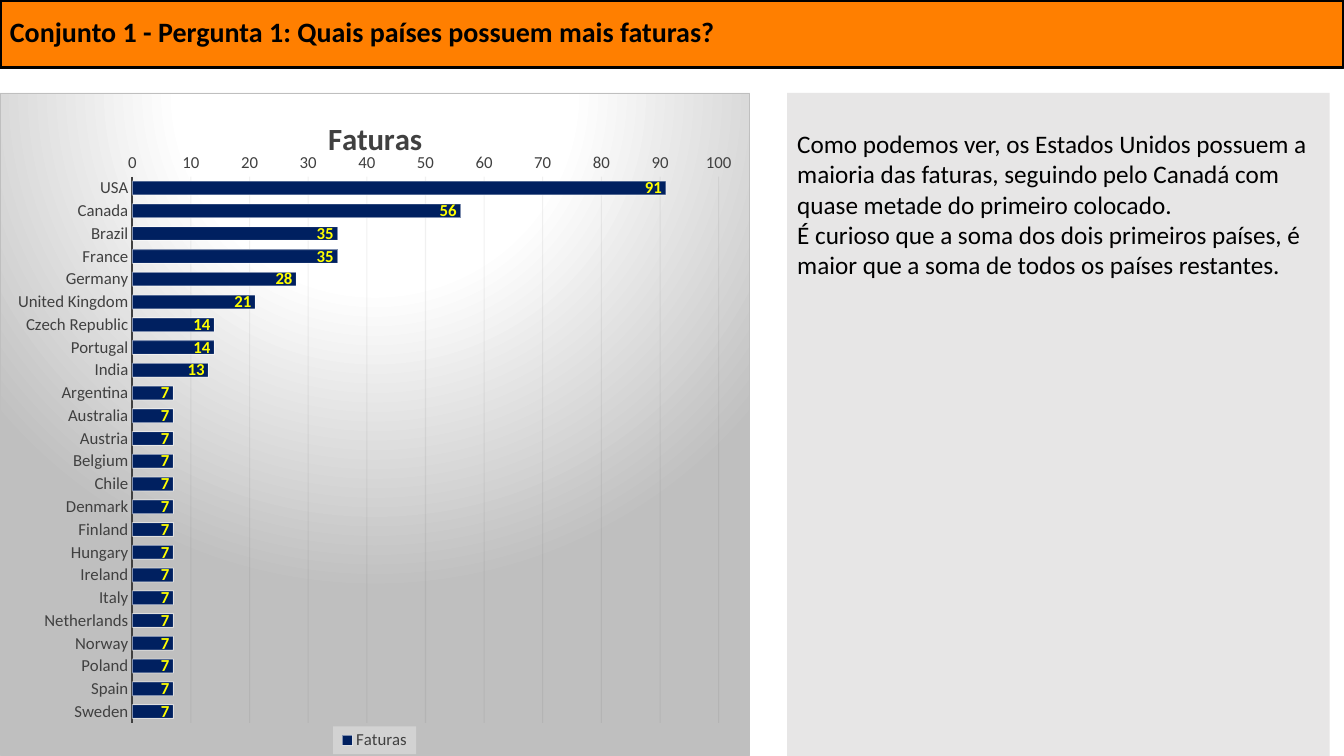
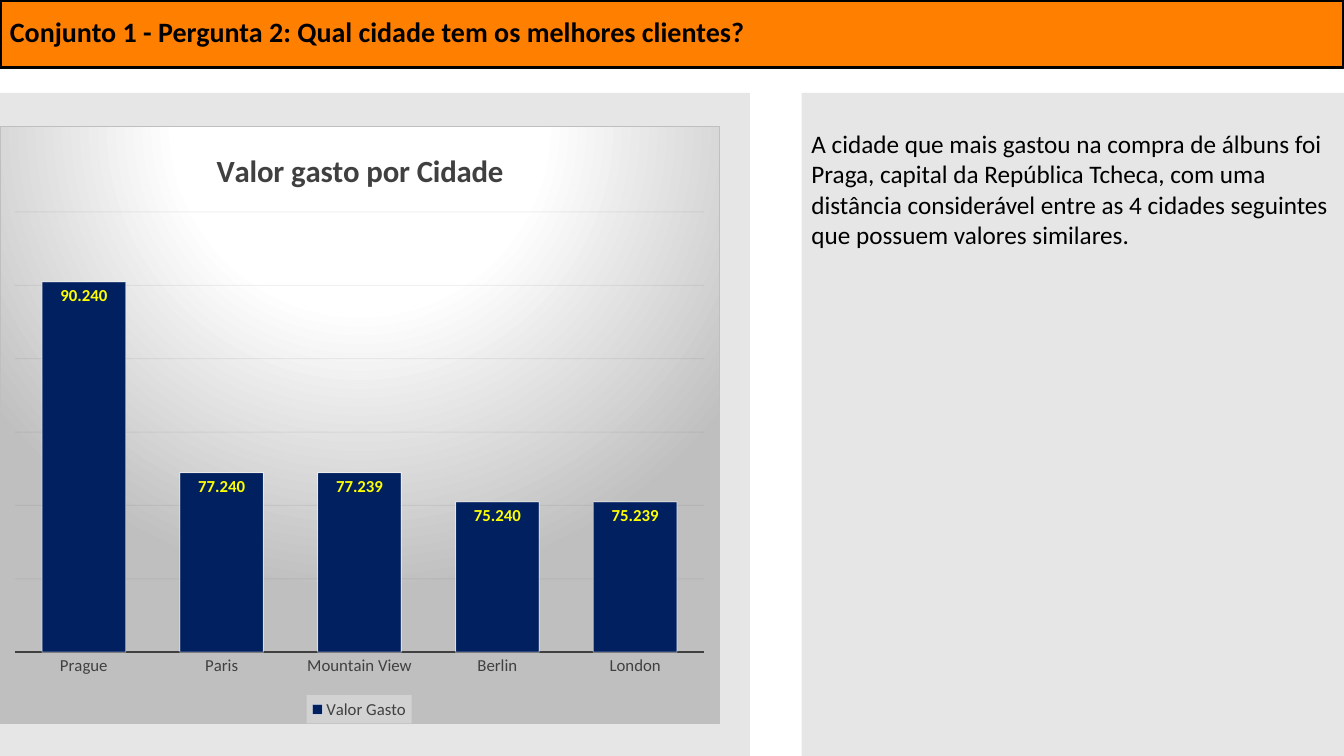
from pptx import Presentation
from pptx.chart.data import CategoryChartData
from pptx.dml.color import RGBColor
from pptx.enum.chart import XL_CHART_TYPE, XL_LABEL_POSITION, XL_LEGEND_POSITION, XL_TICK_MARK
from pptx.enum.shapes import MSO_SHAPE
from pptx.enum.text import MSO_ANCHOR, PP_ALIGN
from pptx.oxml import parse_xml
from pptx.oxml.ns import nsdecls, qn
from pptx.util import Cm, Pt

COLORS = {
    "band": "FF7F00", "panel": "E7E6E6", "black": "000000", "text": "404040",
    "bar": "002060", "label": "FFFF00", "white": "FFFFFF", "grid": "0D0D0D",
    "border": "BFBFBF", "legend": "F2F2F2",
}
FONT = "Calibri"
SLIDE_W, SLIDE_H = 33.87, 19.05
BAND_H = 1.7
BODY_TOP = 2.34
BODY_H = SLIDE_H - BODY_TOP
CHART_PANEL_W, TEXT_PANEL_W = 18.9, 13.67

INVOICES = [
    ("USA", 91), ("Canada", 56), ("Brazil", 35), ("France", 35), ("Germany", 28),
    ("United Kingdom", 21), ("Czech Republic", 14), ("Portugal", 14), ("India", 13),
] + [(country, 7) for country in (
    "Argentina", "Australia", "Austria", "Belgium", "Chile", "Denmark", "Finland", "Hungary",
    "Ireland", "Italy", "Netherlands", "Norway", "Poland", "Spain", "Sweden")]
SPENDING = [("Prague", 90.24), ("Paris", 77.24), ("Mountain View", 77.239),
            ("Berlin", 75.24), ("London", 75.239)]

SLIDES = [
    {
        "title": "Conjunto 1 - Pergunta 1: Quais países possuem mais faturas?",
        "text": ["Como podemos ver, os Estados Unidos possuem a maioria das faturas, "
                 "seguindo pelo Canadá com quase metade do primeiro colocado.",
                 "É curioso que a soma dos dois primeiros países, é maior que a soma "
                 "de todos os países restantes."],
        "text_left": 19.84,
        "chart": {
            "type": XL_CHART_TYPE.BAR_CLUSTERED, "box": (0, BODY_TOP, CHART_PANEL_W, BODY_H),
            "title": "Faturas", "series": "Faturas", "data": INVOICES,
            "scale": (0, 100, 10), "format": "General", "horizontal": True,
            "plot_at": (0.176, 0.126, 0.783, 0.825), "title_at": (0.43, 0.028),
            "legend_at": (0.444, 0.956, 0.111, 0.042),
        },
    },
    {
        "title": "Conjunto 1 - Pergunta 2: Qual cidade tem os melhores clientes?",
        "text": ["A cidade que mais gastou na compra de álbuns foi Praga, capital da "
                 "República Tcheca, com uma distância considerável entre as 4 cidades "
                 "seguintes que possuem valores similares."],
        "text_left": SLIDE_W - TEXT_PANEL_W,
        "chart": {
            "type": XL_CHART_TYPE.COLUMN_CLUSTERED, "box": (0, 3.18, 18.14, 15.06),
            "title": "Valor gasto por Cidade", "series": "Valor Gasto", "data": SPENDING,
            "scale": (65, 95, 5), "format": "#,##0.000", "horizontal": False,
            "plot_at": (0.02, 0.143, 0.959, 0.738), "title_at": (0.293, 0.028),
            "legend_at": (0.426, 0.953, 0.146, 0.047),
        },
    },
]


def rgb(name):
    return RGBColor.from_string(COLORS[name])


def style_font(font, size, color="text", bold=False):
    font.name, font.size, font.bold = FONT, Pt(size), bold
    font.color.rgb = rgb(color)


def style_line(line, color, width, alpha=None):
    line.color.rgb = rgb(color)
    line.width = Pt(width)
    if alpha is not None:
        clr = line._get_or_add_ln().find(".//" + qn("a:srgbClr"))
        clr.append(parse_xml(f'<a:alpha {nsdecls("a")} val="{alpha * 1000}"/>'))


def add_panel(slide, left, top, width, height, color="panel"):
    sp = slide.shapes.add_shape(MSO_SHAPE.RECTANGLE, Cm(left), Cm(top), Cm(width), Cm(height))
    sp.shadow.inherit = False
    sp.fill.solid()
    sp.fill.fore_color.rgb = rgb(color)
    sp.line.fill.background()
    return sp


def write(sp, paragraphs, size, bold=False):
    tf = sp.text_frame
    tf.word_wrap = True
    for i, text in enumerate(paragraphs):
        p = tf.paragraphs[0] if i == 0 else tf.add_paragraph()
        p.text = text
        p.alignment = PP_ALIGN.LEFT
        style_font(p.font, size, "black", bold)
    return tf


def add_title(slide, text):
    sp = add_panel(slide, 0, 0, SLIDE_W, BAND_H, "band")
    style_line(sp.line, "black", 2.25)
    tf = write(sp, [text], 20, True)
    tf.vertical_anchor = MSO_ANCHOR.MIDDLE
    tf.paragraphs[0].line_spacing = 0.9


def add_text_panel(slide, left, paragraphs):
    tf = write(add_panel(slide, left, BODY_TOP, TEXT_PANEL_W, BODY_H), paragraphs, 18)
    tf.vertical_anchor = MSO_ANCHOR.TOP
    tf.margin_top = Cm(0.9)


def place(parent, before, box, inner=False):
    for old in parent.findall(qn("c:layout")):
        parent.remove(old)
    target = '<c:layoutTarget val="inner"/>' if inner else ""
    modes = '<c:xMode val="edge"/><c:yMode val="edge"/>'
    sizes = "".join(f'<c:{tag} val="{val}"/>' for tag, val in zip("xywh", box))
    layout = parse_xml(f'<c:layout {nsdecls("c")}><c:manualLayout>{target}{modes}{sizes}'
                       '</c:manualLayout></c:layout>')
    if before is None:
        parent.insert(0, layout)
    else:
        parent.find(qn(before)).addnext(layout)


def paint_background(chart):
    stops = "".join(f'<a:gs pos="{pos * 1000}"><a:srgbClr val="{COLORS[c]}"/></a:gs>'
                    for pos, c in ((0, "white"), (39, "white"), (100, "border")))
    chart._chartSpace.find(qn("c:chart")).addnext(parse_xml(
        f'<c:spPr {nsdecls("c", "a")}><a:gradFill><a:gsLst>{stops}</a:gsLst><a:path path="circle">'
        '<a:fillToRect l="50000" t="-80000" r="50000" b="180000"/></a:path></a:gradFill>'
        f'<a:ln w="9525"><a:solidFill><a:srgbClr val="{COLORS["border"]}"/></a:solidFill></a:ln>'
        '</c:spPr>'))


def style_axes(chart, c):
    cat, val = chart.category_axis, chart.value_axis
    for axis in (cat, val):
        axis.major_tick_mark = axis.minor_tick_mark = XL_TICK_MARK.NONE
        style_font(axis.tick_labels.font, 12)
    style_line(cat.format.line, "text", 1.5)
    cat.has_major_gridlines = False
    cat.reverse_order = val.visible = c["horizontal"]
    val.minimum_scale, val.maximum_scale, val.major_unit = c["scale"]
    val.tick_labels.number_format = c["format"]
    val.tick_labels.number_format_is_linked = False
    val.format.line.fill.background()
    val.has_major_gridlines = True
    style_line(val.major_gridlines.format.line, "grid", 0.75, 5)


def style_series(plot, number_format):
    plot.gap_width = 65
    plot.vary_by_categories = False
    ser = plot.series[0]
    ser.format.fill.solid()
    ser.format.fill.fore_color.rgb = rgb("bar")
    style_line(ser.format.line, "white", 0.75, 50)
    labels = ser.data_labels
    labels.show_value = True
    labels.position = XL_LABEL_POSITION.INSIDE_END
    labels.number_format = number_format
    labels.number_format_is_linked = False
    style_font(labels.font, 12, "label", True)


def style_legend(chart, box):
    chart.has_legend = True
    legend = chart.legend
    legend.position = XL_LEGEND_POSITION.BOTTOM
    legend.include_in_layout = False
    style_font(legend.font, 12)
    place(legend._element, "c:legendPos", box)
    legend._element.find(qn("c:overlay")).addnext(parse_xml(
        f'<c:spPr {nsdecls("c", "a")}><a:solidFill><a:srgbClr val="{COLORS["legend"]}">'
        '<a:alpha val="39000"/></a:srgbClr></a:solidFill></c:spPr>'))


def add_bar_chart(slide, c):
    data = CategoryChartData()
    names, values = zip(*c["data"])
    data.categories = names
    data.add_series(c["series"], values)
    chart = slide.shapes.add_chart(c["type"], *map(Cm, c["box"]), data).chart
    style_font(chart.font, 10, "black")
    chart.has_title = True
    p = chart.chart_title.text_frame.paragraphs[0]
    p.text = c["title"]
    style_font(p.font, 22, bold=True)
    place(chart.chart_title._element, "c:tx", c["title_at"])
    place(chart._chartSpace.find(".//" + qn("c:plotArea")), None, c["plot_at"], inner=True)
    style_axes(chart, c)
    style_series(chart.plots[0], c["format"])
    style_legend(chart, c["legend_at"])
    paint_background(chart)


def main():
    prs = Presentation()
    prs.slide_width, prs.slide_height = Cm(SLIDE_W), Cm(SLIDE_H)
    for content in SLIDES:
        s = prs.slides.add_slide(prs.slide_layouts[6])
        add_panel(s, 0, BODY_TOP, CHART_PANEL_W, BODY_H)
        add_title(s, content["title"])
        add_text_panel(s, content["text_left"], content["text"])
        add_bar_chart(s, content["chart"])
    prs.save("out.pptx")


if __name__ == "__main__":
    main()
